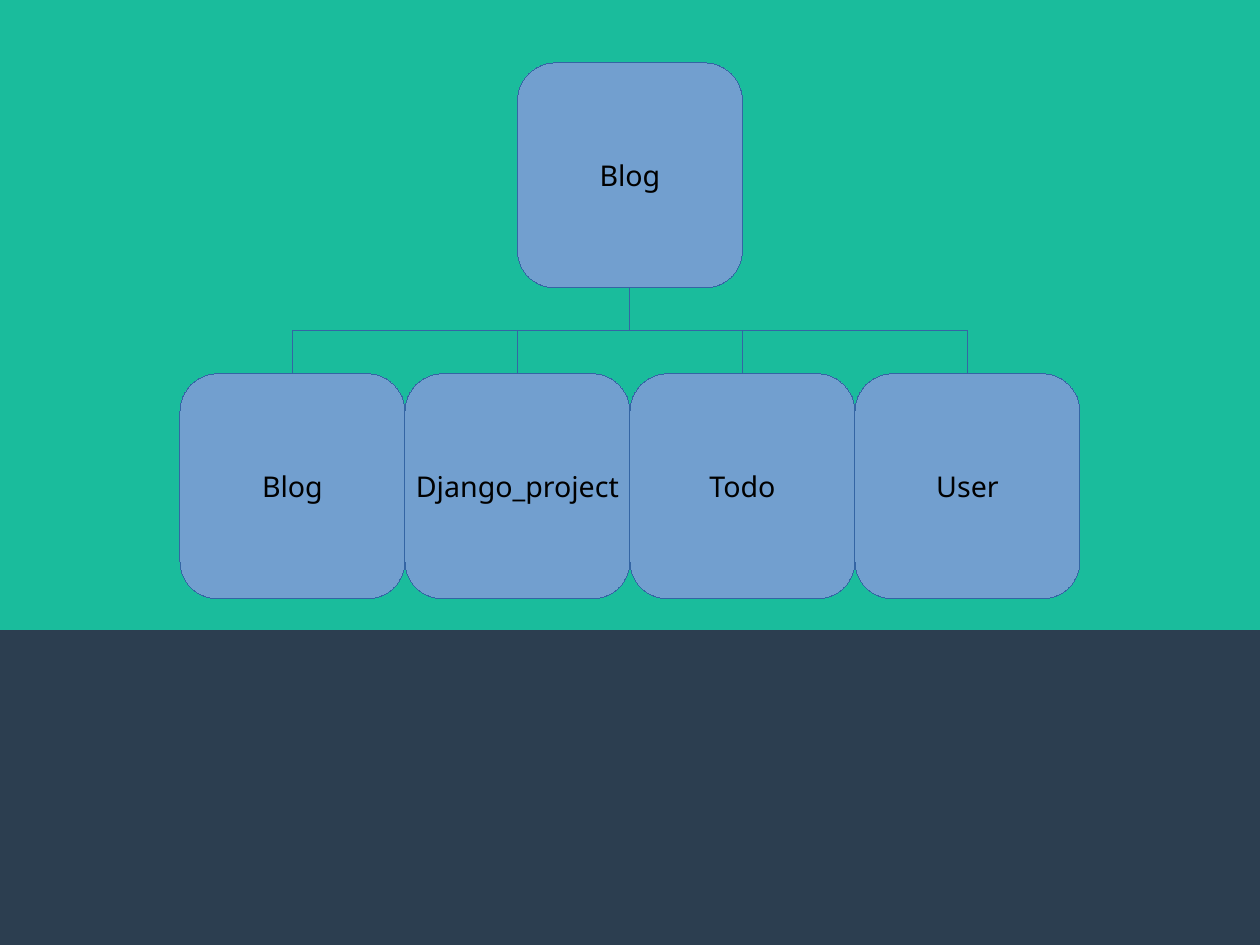
"""Build a slide with the directory tree of a Django blog project."""
from lxml import etree
from pptx import Presentation
from pptx import util as u
from pptx.dml.color import RGBColor
from pptx.enum import shapes, text
from pptx.oxml.ns import qn

COLORS = {
    "background": "2C3E50",
    "band": "1ABC9C",
    "box": "729FCF",
    "line": "3465A4",
    "text": "000000",
}
FONT = "Noto Sans"
CM_PER_INCH = 2.54
SLIDE_WIDTH = u.Inches(28 / CM_PER_INCH)
SLIDE_HEIGHT = u.Inches(21 / CM_PER_INCH)
BAND_HEIGHT = u.Inches(14 / CM_PER_INCH)
BOX_SIZE = u.Inches(5 / CM_PER_INCH)
ROOT_TOP, CHILD_TOP = u.Inches(0.55), u.Inches(3.27)
ROOT = "Blog"
CHILDREN = ["Blog", "Django_project", "Todo", "User"]
TOP_SITE, BOTTOM_SITE = 0, 2


def color(name):
    return RGBColor.from_string(COLORS[name])


def write(shape, content, size=18, font=FONT, fill="text"):
    frame = shape.text_frame
    frame.word_wrap = False
    frame.vertical_anchor = text.MSO_ANCHOR.MIDDLE
    paragraph = frame.paragraphs[0]
    paragraph.alignment = text.PP_ALIGN.CENTER
    run = paragraph.add_run()
    run.text = content
    run.font.size = u.Pt(size)
    run.font.name = font
    run.font.color.rgb = color(fill)


def set_hairline(shape):
    shape.line.color.rgb = color("line")
    shape.element.spPr.find(qn("a:ln")).set("w", "0")


def add_band(slide):
    band = slide.shapes.add_shape(
        shapes.MSO_SHAPE.RECTANGLE, 0, 0, SLIDE_WIDTH, BAND_HEIGHT)
    band.shadow.inherit = False
    band.fill.solid()
    band.fill.fore_color.rgb = color("band")
    band.line.fill.background()


def add_box(slide, label, left, top):
    box = slide.shapes.add_shape(
        shapes.MSO_SHAPE.ROUNDED_RECTANGLE, left, top, BOX_SIZE, BOX_SIZE)
    box.adjustments[0] = 0.167
    box.shadow.inherit = False
    box.fill.solid()
    box.fill.fore_color.rgb = color("box")
    set_hairline(box)
    write(box, label)
    return box


def add_branch(slide, parent, child):
    start_x = parent.left + parent.width // 2
    start_y = parent.top + parent.height
    end_x = child.left + child.width // 2
    drop, reach = child.top - start_y, abs(end_x - start_x)
    branch = slide.shapes.add_connector(
        shapes.MSO_CONNECTOR.ELBOW, start_x, start_y, end_x, child.top)
    branch.begin_connect(parent, BOTTOM_SITE)
    branch.end_connect(child, TOP_SITE)

    branch.left = (start_x + end_x - drop) // 2
    branch.top = (start_y + child.top - reach) // 2
    branch.width, branch.height = drop, reach
    goes_right = end_x > start_x
    properties = branch.element.spPr
    transform = properties.find(qn("a:xfrm"))
    transform.set("rot", str((270 if goes_right else 90) * 60000))
    transform.set("flipH", "1" if goes_right else "0")
    transform.set("flipV", "0")

    set_hairline(branch)
    etree.SubElement(properties, qn("a:effectLst"))


def main():
    presentation = Presentation()
    presentation.slide_width = SLIDE_WIDTH
    presentation.slide_height = SLIDE_HEIGHT
    slide = presentation.slides.add_slide(presentation.slide_layouts[6])
    slide.background.fill.solid()
    slide.background.fill.fore_color.rgb = color("background")

    add_band(slide)
    root = add_box(slide, ROOT, (SLIDE_WIDTH - BOX_SIZE) // 2, ROOT_TOP)
    row_left = (SLIDE_WIDTH - len(CHILDREN) * BOX_SIZE) // 2
    children = [add_box(slide, label, row_left + index * BOX_SIZE, CHILD_TOP)
                for index, label in enumerate(CHILDREN)]
    for child in children:
        add_branch(slide, root, child)

    presentation.save("out.pptx")


if __name__ == "__main__":
    main()
